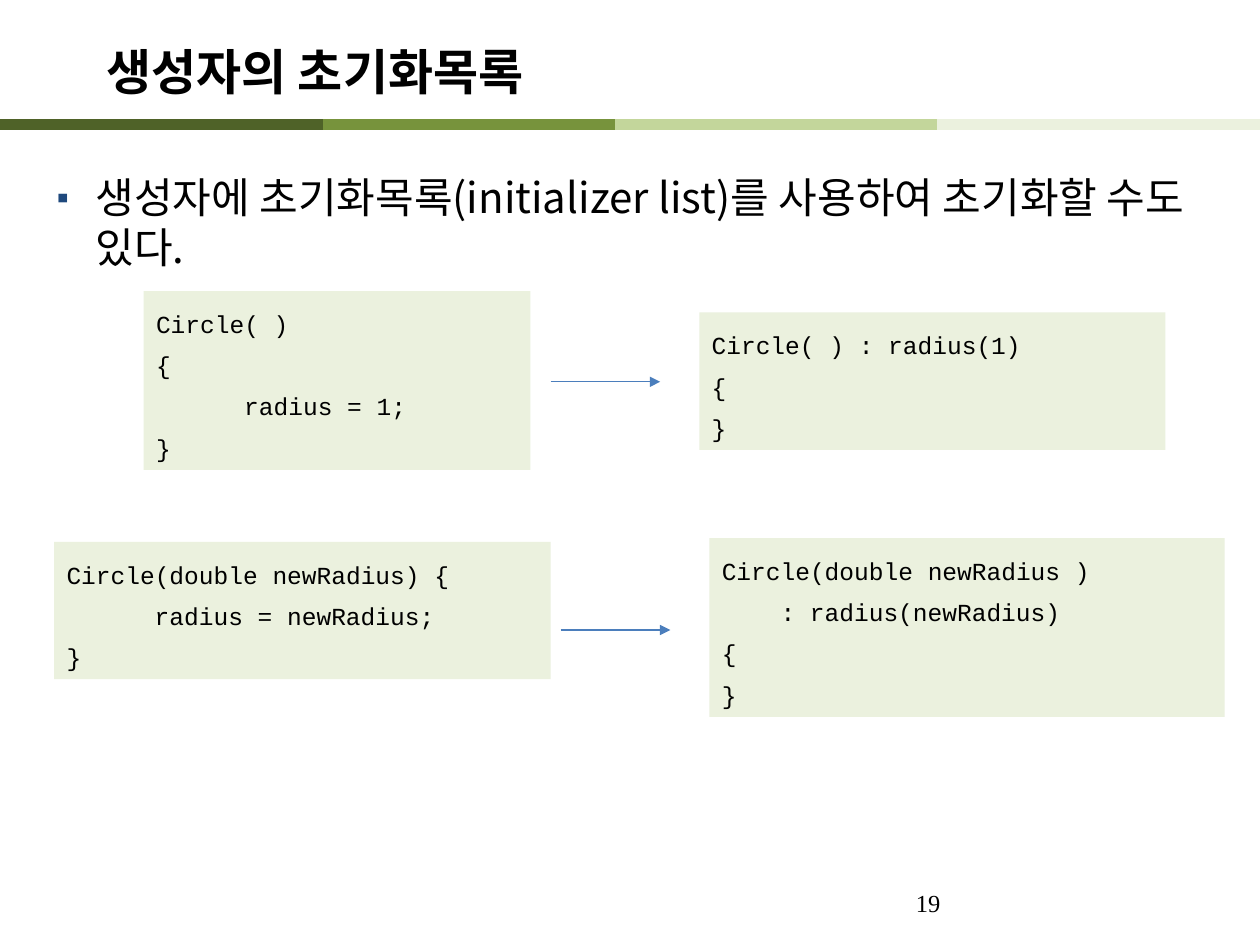
from lxml import etree
from pptx import Presentation
from pptx import util as u
from pptx.dml.color import RGBColor
from pptx.enum import shapes, text
from pptx.oxml import ns

COLUMNS, ROWS = 100, 75
CELL = u.Inches(0.1)
COLORS = {
    "text": "000000",
    "bullet": "1F497D",
    "code": "EBF1DE",
    "arrow": "4B7EBC",
    "stripes": ["4F6228", "77933C", "C3D69B", "EBF1DE"],
}
SANS, MONO, SERIF = "Noto Sans CJK KR", "Courier New", "Times New Roman"
CHARACTER = u.Inches(7 / 60)


def grid(*cells):
    """Turn grid cells into lengths."""
    return [u.Emu(round(cell * CELL)) for cell in cells]


def add_xml(parent, tag, **attributes):
    """Append a DrawingML element to its parent."""
    return etree.SubElement(parent, ns.qn(tag), attributes)


def write(shape, lines, font=SANS, size=14, bold=False, spacing=1.0,
          before=0, anchor=text.MSO_ANCHOR.TOP):
    """Fill a shape with (indent in characters, words) lines and return the paragraphs."""
    frame = shape.text_frame
    frame.word_wrap = True
    frame.vertical_anchor = anchor
    for index, (indent, words) in enumerate(lines):
        paragraph = frame.add_paragraph() if index else frame.paragraphs[0]
        paragraph.alignment = text.PP_ALIGN.LEFT
        paragraph.line_spacing = spacing
        paragraph.space_before = u.Pt(before)
        if indent:
            paragraph._p.get_or_add_pPr().set("marL", str(round(indent * CHARACTER)))
        run = paragraph.add_run()
        run.text = words
        run.font.size = u.Pt(size)
        run.font.bold = bold
        run.font.name = font
        run.font.color.rgb = RGBColor.from_string(COLORS["text"])
        add_xml(run._r.get_or_add_rPr(), "a:ea", typeface=font)
    return frame.paragraphs


def add_text(slide, box, words, **style):
    """Add a text box with one paragraph and return that paragraph."""
    shape = slide.shapes.add_textbox(*grid(*box))
    return write(shape, [(0, words)], **style)[0]


def add_bullet(paragraph):
    """Give a paragraph a hanging square bullet."""
    properties = paragraph._p.get_or_add_pPr()
    properties.set("marL", str(u.Inches(0.38)))
    properties.set("indent", str(u.Inches(-0.38)))
    add_xml(add_xml(properties, "a:buClr"), "a:srgbClr", val=COLORS["bullet"])
    add_xml(properties, "a:buSzPct", val="75000")
    add_xml(properties, "a:buFont", typeface=SANS)
    add_xml(properties, "a:buChar", char="▪")


def add_code(slide, box, lines):
    """Add a filled box of source code."""
    shape = slide.shapes.add_shape(shapes.MSO_SHAPE.RECTANGLE, *grid(*box))
    shape.shadow.inherit = False
    shape.fill.solid()
    shape.fill.fore_color.rgb = RGBColor.from_string(COLORS["code"])
    shape.line.fill.background()
    write(shape, lines, font=MONO, spacing=1.4)


def add_line(slide, left, row, width, color, weight, arrow=False):
    """Add a horizontal line, with an arrowhead if wanted."""
    connector = slide.shapes.add_connector(
        shapes.MSO_CONNECTOR.STRAIGHT, *grid(left, row, left + width, row))
    connector.line.color.rgb = RGBColor.from_string(color)
    connector.line.width = u.Pt(weight)
    if arrow:
        add_xml(connector.line._get_or_add_ln(), "a:tailEnd", type="triangle")
    add_xml(connector._element.spPr, "a:effectLst")


def add_stripes(slide, row=9.9, width=25.6):
    """Add the coloured rule, counted from the right edge, with the first stripe on top."""
    for place, color in enumerate(reversed(COLORS["stripes"]), start=1):
        add_line(slide, max(0, COLUMNS - place * width), row, width, color, 6)


def main():
    """Build the slide and save it."""
    presentation = Presentation()
    presentation.slide_width, presentation.slide_height = grid(COLUMNS, ROWS)
    slide = presentation.slides.add_slide(presentation.slide_layouts[6])

    add_stripes(slide)
    add_text(slide, (71.7, 70, 20.8, 5), "19", font=SERIF)
    add_text(slide, (7.5, 2.1, 85, 7.1), "생성자의 초기화목록", size=28, bold=True,
             anchor=text.MSO_ANCHOR.MIDDLE)
    add_bullet(add_text(
        slide, (2.8, 13.1, 95.8, 47.9),
        "생성자에 초기화목록(initializer list)를 사용하여 초기화할 수도 있다.",
        size=24, before=4.8))

    add_code(slide, (11.4, 23.1, 30.7, 14.2),
             [(0, "Circle( )"), (0, "{"), (6, "radius = 1;"), (0, "}")])
    add_code(slide, (55.5, 24.8, 37, 10.9),
             [(0, "Circle( ) : radius(1)"), (0, "{"), (0, "}")])
    add_code(slide, (4.3, 43, 39.4, 10.9),
             [(0, "Circle(double newRadius) {"), (6, "radius = newRadius;"), (0, "}")])
    add_code(slide, (56.3, 42.7, 40.9, 14.2),
             [(0, "Circle(double newRadius )"), (4, ": radius(newRadius)"),
              (0, "{"), (0, "}")])
    for left, row in ((43.7, 30.3), (44.5, 50)):
        add_line(slide, left, row, 8.7, COLORS["arrow"], 0.75, arrow=True)

    presentation.save("out.pptx")


if __name__ == "__main__":
    main()
